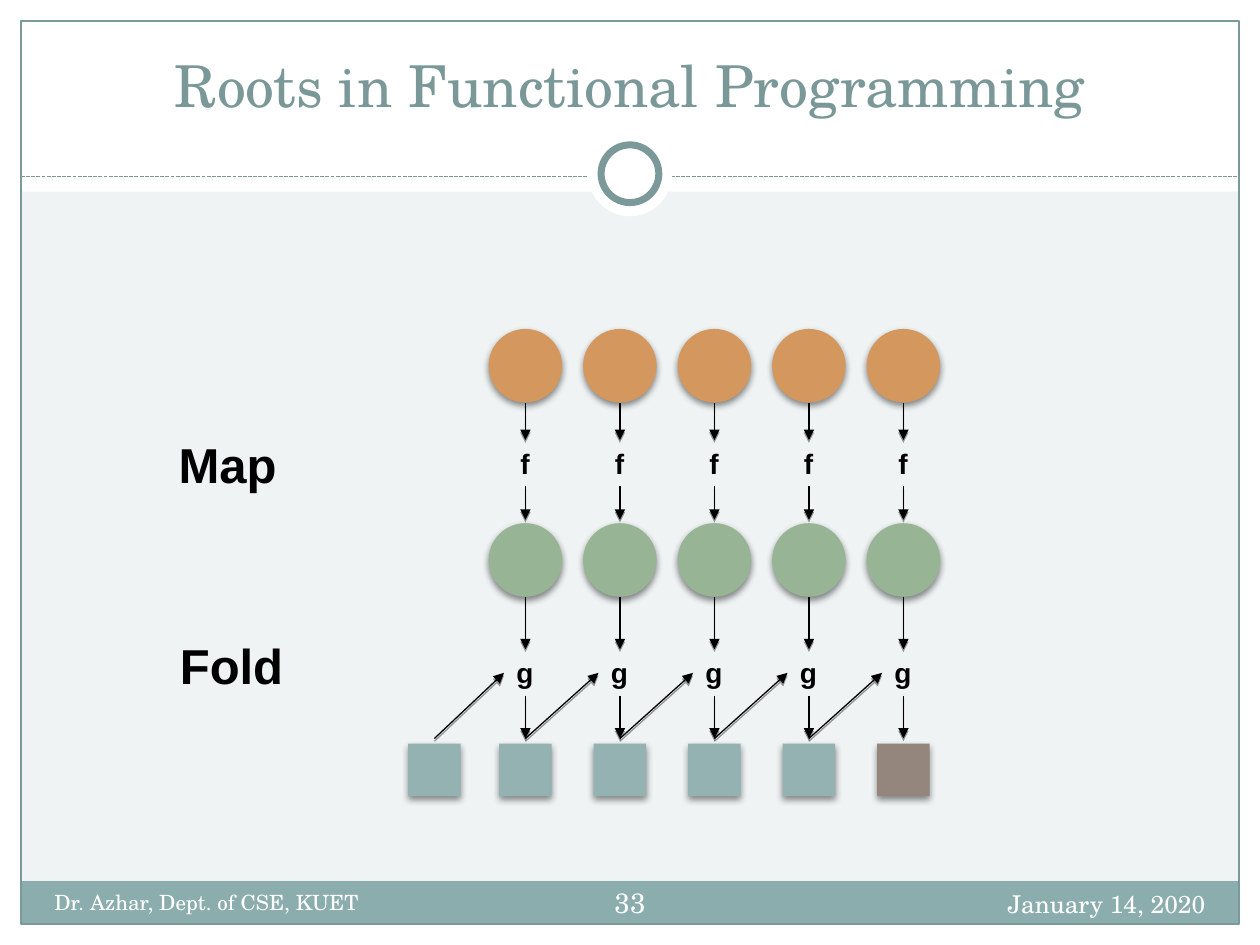
from lxml import etree
from pptx import Presentation
from pptx.dml import color
from pptx.enum import dml, shapes, text
from pptx.oxml import ns
from pptx.util import Pt

RECTANGLE = shapes.MSO_SHAPE.RECTANGLE
OVAL = shapes.MSO_SHAPE.OVAL
CENTER = text.PP_ALIGN.CENTER
MIDDLE = text.MSO_ANCHOR.MIDDLE
SERIF = "TeX Gyre Schola"
WHITE, BLACK, FRAME = "FFFFFF", "000000", "7C999A"
COLUMNS = 5
FIRST_X, STEP = 300.25, 54
SEED_X = 248.25
CIRCLE, SQUARE = 42, 30


def rgb(value):
    """Return the colour of a hex string."""
    return color.RGBColor.from_string(value)


def set_effects(shape, shadow=None):
    """Replace the theme shadow by none or by (alpha, blur, distance)."""
    effects = etree.SubElement(shape.element.spPr, ns.qn("a:effectLst"))
    if shadow:
        alpha, blur, distance = shadow
        outer = etree.SubElement(
            effects, ns.qn("a:outerShdw"), blurRad=str(Pt(blur)),
            dist=str(Pt(distance)), dir="5400000", rotWithShape="0")
        tint = etree.SubElement(outer, ns.qn("a:srgbClr"), val=BLACK)
        etree.SubElement(tint, ns.qn("a:alpha"), val=str(alpha * 1000))


def add_block(slide, kind, left, top, width, height, fill=None, line=None,
              weight=0.75, shadow=None):
    """Add a preset shape with an optional fill, outline and shadow."""
    shape = slide.shapes.add_shape(kind, Pt(left), Pt(top), Pt(width), Pt(height))
    if fill:
        shape.fill.solid()
        shape.fill.fore_color.rgb = rgb(fill)
    else:
        shape.fill.background()
    if line:
        shape.line.color.rgb = rgb(line)
        shape.line.width = Pt(weight)
    else:
        shape.line.fill.background()
    set_effects(shape, shadow)


def add_line(slide, x1, y1, x2, y2, line=BLACK, dash=None, arrow=False):
    """Add a straight line, dashed or with an arrowhead and shadow."""
    connector = slide.shapes.add_connector(
        shapes.MSO_CONNECTOR.STRAIGHT, Pt(x1), Pt(y1), Pt(x2), Pt(y2))
    connector.line.color.rgb = rgb(line)
    connector.line.width = Pt(0.75)
    if dash:
        connector.line.dash_style = dash
    if arrow:
        outline = connector.element.spPr.find(ns.qn("a:ln"))
        etree.SubElement(outline, ns.qn("a:tailEnd"), type="triangle")
    set_effects(connector, (38, 0, 1.6) if arrow else None)


def write_text(shape, wording, size, font="Arial", fill=BLACK, bold=False,
               align=text.PP_ALIGN.LEFT, anchor=text.MSO_ANCHOR.TOP, wrap=True,
               inset=7.2):
    """Fill a shape with one formatted paragraph."""
    frame = shape.text_frame
    frame.word_wrap = wrap
    frame.auto_size = text.MSO_AUTO_SIZE.NONE if wrap else text.MSO_AUTO_SIZE.SHAPE_TO_FIT_TEXT
    frame.vertical_anchor = anchor
    frame.margin_left = frame.margin_right = Pt(inset)
    frame.margin_top = frame.margin_bottom = Pt(3.6)
    paragraph = frame.paragraphs[0]
    paragraph.alignment = align
    run = paragraph.add_run()
    run.text = wording
    run.font.size = Pt(size)
    run.font.name = font
    run.font.bold = bold
    run.font.color.rgb = rgb(fill)


def add_text(slide, wording, left, top, width, height, size, **options):
    """Add a text box."""
    box = slide.shapes.add_textbox(Pt(left), Pt(top), Pt(width), Pt(height))
    write_text(box, wording, size, **options)


def add_label(slide, wording, left, top, width, height, size):
    """Add a bold label that does not wrap."""
    add_text(slide, wording, left, top, width, height, size, bold=True, wrap=False)


def draw_frame(slide):
    """Draw the header band, ring, margins, footer bar and border."""
    add_block(slide, RECTANGLE, 0, 0, 720, 109.5, WHITE)
    add_line(slide, 12, 100.8, 708, 100.8, FRAME, dash=dml.MSO_LINE.SQUARE_DOT)
    add_block(slide, OVAL, 336, 75.6, 48, 48, WHITE)
    add_block(slide, OVAL, 343.5, 82.8, 33, 33, WHITE, FRAME, 4)
    for margin in ((0, 528, 720, 12), (0, 0, 720, 12), (708, 0, 12, 540), (0, 0, 12, 540)):
        add_block(slide, RECTANGLE, *margin, WHITE)
    add_block(slide, RECTANGLE, 11.75, 503.5, 696, 24.5, "8CADAE")
    add_block(slide, RECTANGLE, 12, 12, 696, 516, line=FRAME)


def place_title(slide, wording):
    """Move the title placeholder above the frame and format it."""
    title = slide.shapes.title
    title.left, title.top, title.width, title.height = Pt(24), Pt(18), Pt(672), Pt(60)
    title.element.getparent().append(title.element)
    write_text(title, wording, 33, font=SERIF, fill="7B9899", align=CENTER, anchor=MIDDLE)


def add_node(slide, kind, center, top, size, fill):
    """Add a shadowed circle or square centred on a column."""
    add_block(slide, kind, center - size / 2, top, size, size, fill, shadow=(45, 4, 2))


def draw_column(slide, center, previous, result_fill):
    """Draw one column of the map and fold diagram."""
    add_node(slide, OVAL, center, 188, CIRCLE, "D4985F")
    add_node(slide, OVAL, center, 299, CIRCLE, "97B595")
    add_node(slide, RECTANGLE, center, 425, SQUARE, result_fill)
    add_label(slide, "f", center - 10, 251.5, 20, 26.5, 16)
    add_label(slide, "g", center - 12.25, 371, 24.5, 26.5, 16)
    for start, end in ((230.5, 251.5), (278, 297), (341, 371), (397.5, 422)):
        add_line(slide, center, start, center, end, arrow=True)
    add_line(slide, previous, 422, center - 12.25, 384.5, arrow=True)


def draw_diagram(slide):
    """Draw the seed square, the columns and the row labels."""
    add_node(slide, RECTANGLE, SEED_X, 425, SQUARE, "95B2B3")
    centers = [FIRST_X + STEP * column for column in range(COLUMNS)]
    fills = ["95B2B3"] * (COLUMNS - 1) + ["95867D"]
    for center, previous, fill in zip(centers, [SEED_X] + centers, fills):
        draw_column(slide, center, previous, fill)
    add_label(slide, "Map", 95, 245, 71.5, 41, 28)
    add_label(slide, "Fold", 95.75, 359.5, 74.5, 41, 28)


def draw_footer(slide):
    """Write the date, slide number and author."""
    add_text(slide, "January 14, 2020", 456, 504.75, 240, 28.75, 14, font=SERIF,
             fill=WHITE, align=text.PP_ALIGN.RIGHT)
    add_text(slide, "33", 336, 498.5, 48, 34.5, 16, font=SERIF, fill=WHITE,
             align=CENTER, anchor=MIDDLE, inset=3.6)
    add_text(slide, "Dr. Azhar, Dept. of CSE, KUET", 24, 504.75, 282, 28.75, 12,
             font=SERIF, fill=WHITE)


def main():
    """Build and save the presentation."""
    presentation = Presentation()
    presentation.slide_width, presentation.slide_height = Pt(720), Pt(540)
    slide = presentation.slides.add_slide(presentation.slide_layouts[5])
    slide.background.fill.solid()
    slide.background.fill.fore_color.rgb = rgb("EFF3F4")
    draw_frame(slide)
    place_title(slide, "Roots in Functional Programming")
    draw_diagram(slide)
    draw_footer(slide)
    presentation.save("out.pptx")


main()
